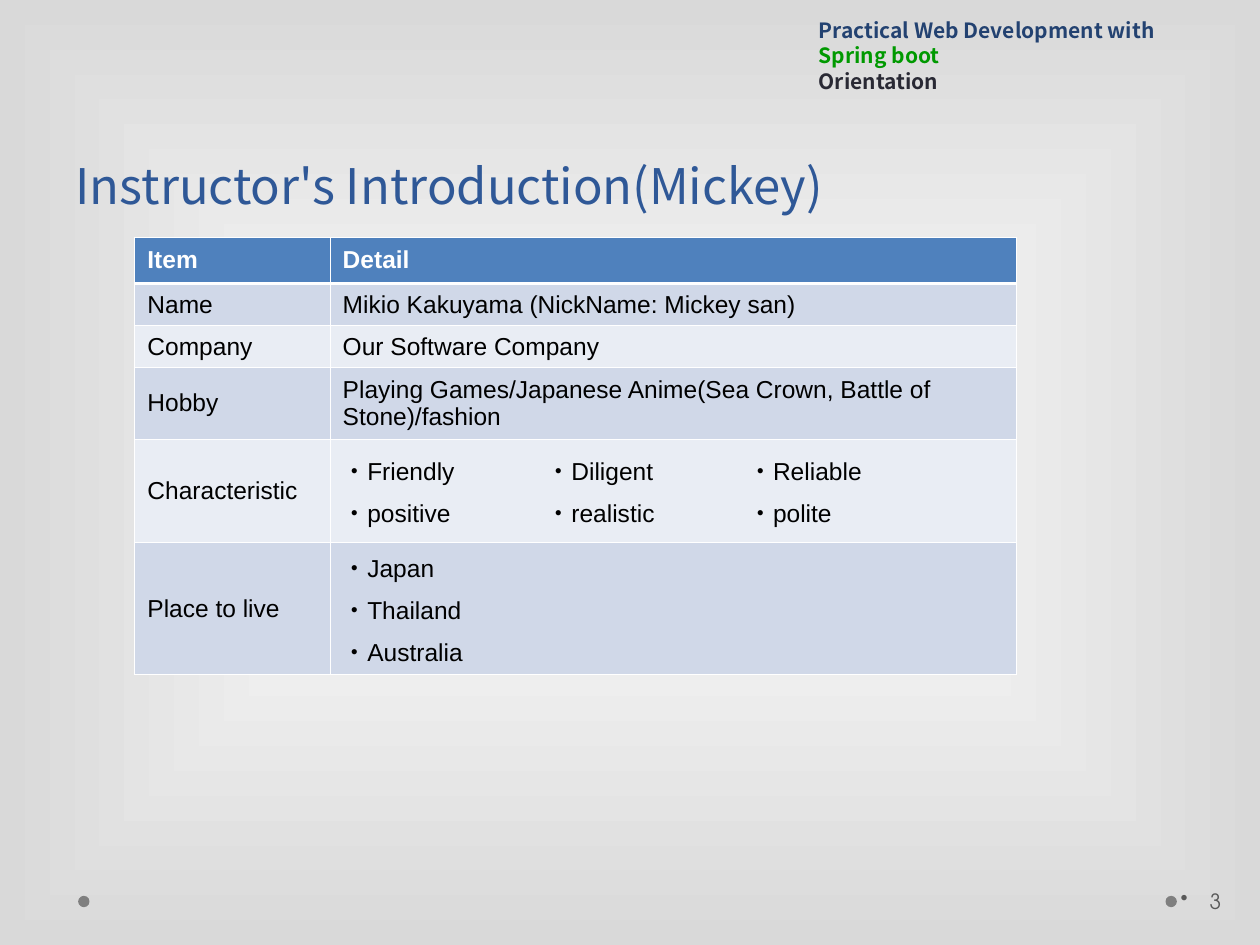
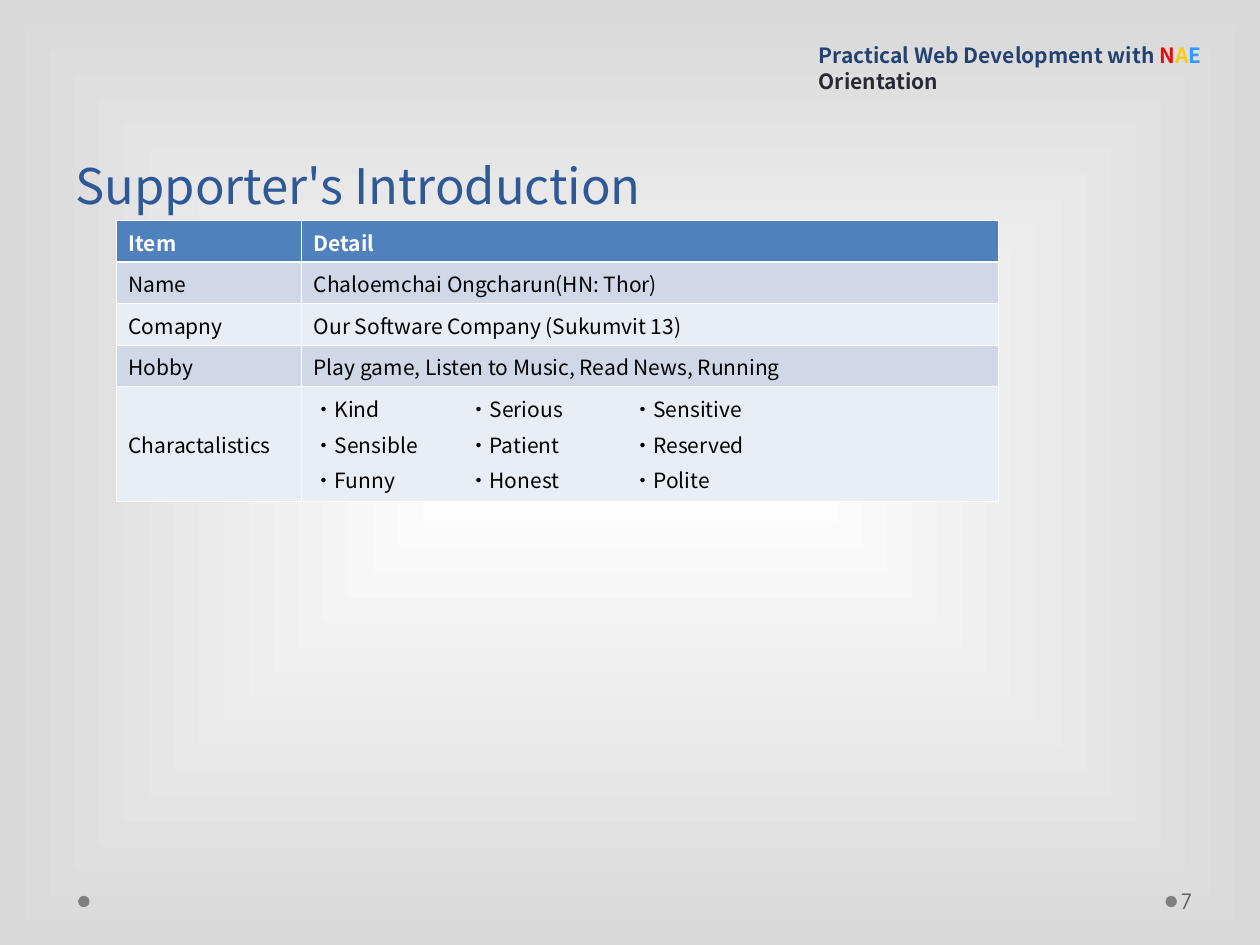
from lxml.etree import SubElement
from pptx import Presentation
from pptx.dml.color import RGBColor
from pptx.enum.shapes import MSO_SHAPE as Shape
from pptx.enum.text import MSO_ANCHOR as Anchor, MSO_AUTO_SIZE as AutoSize, PP_ALIGN as Align
from pptx.oxml.ns import qn
from pptx.util import Inches, Pt

# Shared style
SANS, ARIAL, NUMBER_FONT = "Noto Sans CJK JP", "Arial", "TeX Gyre Adventor"
TITLE, NAVY, INK, GREY, DOT = "2F5897", "234271", "292934", "595959", "7F7F7F"
WHITE, BLACK, EDGE = "FFFFFF", "000000", "D9D9D9"
HEAD, BANDS = "4F81BD", ("D0D8E8", "E9EDF4")
THIN, THICK = 0.45, 1.47
COLUMNS, ROWS = 100, 75


def rgb(value):
    return RGBColor.from_string(value)


class Deck:
    """The style, the presentation and the slide being filled."""

    def __init__(self):
        self.prs = Presentation()
        self.prs.slide_width, self.prs.slide_height = Inches(10), Inches(7.5)
        self.s = None
        self.background()

    def x(self, columns):
        return round(self.prs.slide_width * columns / COLUMNS)

    def y(self, rows):
        return round(self.prs.slide_height * rows / ROWS)

    def box(self, left, top, width, height):
        return self.x(left), self.y(top), self.x(width), self.y(height)

    def background(self):
        master = self.prs.slide_master
        fill = master.background.fill
        fill.gradient()
        for stop, color in zip(fill.gradient_stops, (WHITE, EDGE)):
            stop.color.rgb = rgb(color)
        grad = next(master.element.iter(qn("a:gradFill")))
        grad.remove(grad.find(qn("a:lin")))
        path = SubElement(grad, qn("a:path"), path="rect")
        SubElement(path, qn("a:fillToRect"), dict.fromkeys("ltrb", "50000"))

    def font(self, run, size, color, name=SANS, bold=False):
        f = run.font
        f.size, f.name, f.bold = Pt(size), name, bold
        f.color.rgb = rgb(color)
        SubElement(run.font._element, qn("a:ea"), typeface=SANS)

    def new_slide(self, title, course, number, bullet=False):
        self.s = self.prs.slides.add_slide(self.prs.slide_layouts[5])
        for left in (92.5, 6.2):
            self.dot(left, 71.1)
        self.number(number, bullet)
        self.title(title)
        self.course(course)

    def dot(self, left, top):
        sp = self.s.shapes.add_shape(Shape.OVAL, *self.box(left, top, 0.9, 0.9))
        sp.shadow.inherit = False
        sp.fill.solid()
        sp.fill.fore_color.rgb = rgb(DOT)
        sp.line.fill.background()

    def text_box(self, place, anchor, left_inset=0.1, right_inset=0.1):
        tf = self.s.shapes.add_textbox(*self.box(*place)).text_frame
        tf.word_wrap, tf.vertical_anchor = True, anchor
        tf.margin_left, tf.margin_right = Inches(left_inset), Inches(right_inset)
        return tf

    def number(self, number, bullet):
        tf = self.text_box((93.4, 69.5, 6.1, 4), Anchor.MIDDLE, 0.03, 0.05)
        tf.text = str(number)
        p = tf.paragraphs[0]
        if bullet:
            pPr = p._p.get_or_add_pPr()
            indent = Inches(0.23)
            pPr.set("marL", str(indent))
            pPr.set("indent", str(-indent))
            SubElement(SubElement(pPr, qn("a:buClr")), qn("a:srgbClr"), val=GREY)
            SubElement(pPr, qn("a:buChar"), char="•")
        self.font(p.runs[0], 12, GREY, NUMBER_FONT)

    def title(self, text):
        sp = self.s.shapes.title
        sp.left, sp.top, sp.width, sp.height = self.box(5, 0, 90, 17.5)
        tf = sp.text_frame
        tf.text = text
        tf.auto_size, tf.vertical_anchor = AutoSize.NONE, Anchor.BOTTOM
        p = tf.paragraphs[0]
        p.alignment, p.line_spacing = Align.LEFT, Pt(58)
        self.font(p.runs[0], 28, TITLE)

    def course(self, subject):
        tf = self.text_box((64, 2.4, 33.2, 5.5), Anchor.BOTTOM)
        lines = ([("Practical Web Development with ", NAVY), *subject],
                 [("Orientation", INK)])
        for i, line in enumerate(lines):
            p = tf.add_paragraph() if i else tf.paragraphs[0]
            for text, color in line:
                r = p.add_run()
                r.text = text
                self.font(r, 12, color, bold=True)

    def table(self, left, top, widths, heights, rows, size, name, tabs):
        place = self.box(left, top, sum(widths), sum(heights))
        table = self.s.shapes.add_table(len(rows), len(widths), *place).table
        for column, width in zip(table.columns, widths):
            column.width = self.x(width)
        for i, (row, height) in enumerate(zip(rows, heights)):
            table.rows[i].height = self.y(height)
            for j, text in enumerate(row):
                self.cell(table.cell(i, j), text, i, size, name, tabs)

    def cell(self, cell, text, row, size, name, tabs):
        header = row == 0
        cell.text = text
        cell.vertical_anchor = Anchor.MIDDLE
        cell.fill.solid()
        cell.fill.fore_color.rgb = rgb(HEAD if header else BANDS[(row - 1) % 2])
        self.borders(cell, THICK if row == 1 else THIN, THICK if header else THIN)
        for i, p in enumerate(cell.text_frame.paragraphs):
            if i:
                p.space_before = Pt(size / 4)
            if "\t" in text:
                stops = SubElement(p._p.get_or_add_pPr(), qn("a:tabLst"))
                for tab in tabs:
                    SubElement(stops, qn("a:tab"), pos=str(self.x(tab)), algn="l")
            for r in p.runs:
                self.font(r, size, WHITE if header else BLACK, name, header)

    def borders(self, cell, top, bottom):
        tcPr = cell._tc.get_or_add_tcPr()
        sides = {"L": THIN, "R": THIN, "T": top, "B": bottom}
        for i, (side, width) in enumerate(sides.items()):
            ln = SubElement(tcPr, qn("a:ln" + side), w=str(Pt(width)))
            SubElement(SubElement(ln, qn("a:solidFill")), qn("a:srgbClr"), val=WHITE)
            tcPr.insert(i, ln)


def traits(*lines):
    """Dotted words, set on tab stops within each line."""
    return "\n".join("\t".join("・" + word for word in line.split()) for line in lines)


def main():
    deck = Deck()

    # Instructor
    deck.new_slide("Instructor's Introduction(Mickey)",
                   [("Spring boot", "009900")], 3, bullet=True)
    deck.table(10.7, 18.8, (15.5, 54.5), (3.7, 3.3, 3.3, 5.4, 8.2, 10.5), [
        ("Item", "Detail"),
        ("Name", "Mikio Kakuyama (NickName: Mickey san)"),
        ("Company", "Our Software Company"),
        ("Hobby", "Playing Games/Japanese Anime(Sea Crown, Battle of Stone)/fashion"),
        ("Characteristic", traits("Friendly Diligent Reliable",
                                  "positive realistic polite")),
        ("Place to live", traits("Japan", "Thailand", "Australia")),
    ], 14, ARIAL, (16.2, 32.2))

    # Supporter
    deck.new_slide("Supporter's Introduction",
                   [("N", "E40D08"), ("A", "FACC12"), ("E", "3399FF")], 7)
    deck.table(9.2, 17.5, (14.7, 55.3), (3.3, 3.3, 3.3, 3.3, 9.1), [
        ("Item", "Detail"),
        ("Name", "Chaloemchai Ongcharun(HN: Thor)"),
        ("Comapny", "Our Software Company (Sukumvit 13)"),
        ("Hobby", "Play game, Listen to Music, Read News, Running"),
        ("Charactalistics", traits("Kind Serious Sensitive",
                                   "Sensible Patient Reserved",
                                   "Funny Honest Polite")),
    ], 12, SANS, (12.3, 25.3))

    deck.prs.save("out.pptx")


if __name__ == "__main__":
    main()
